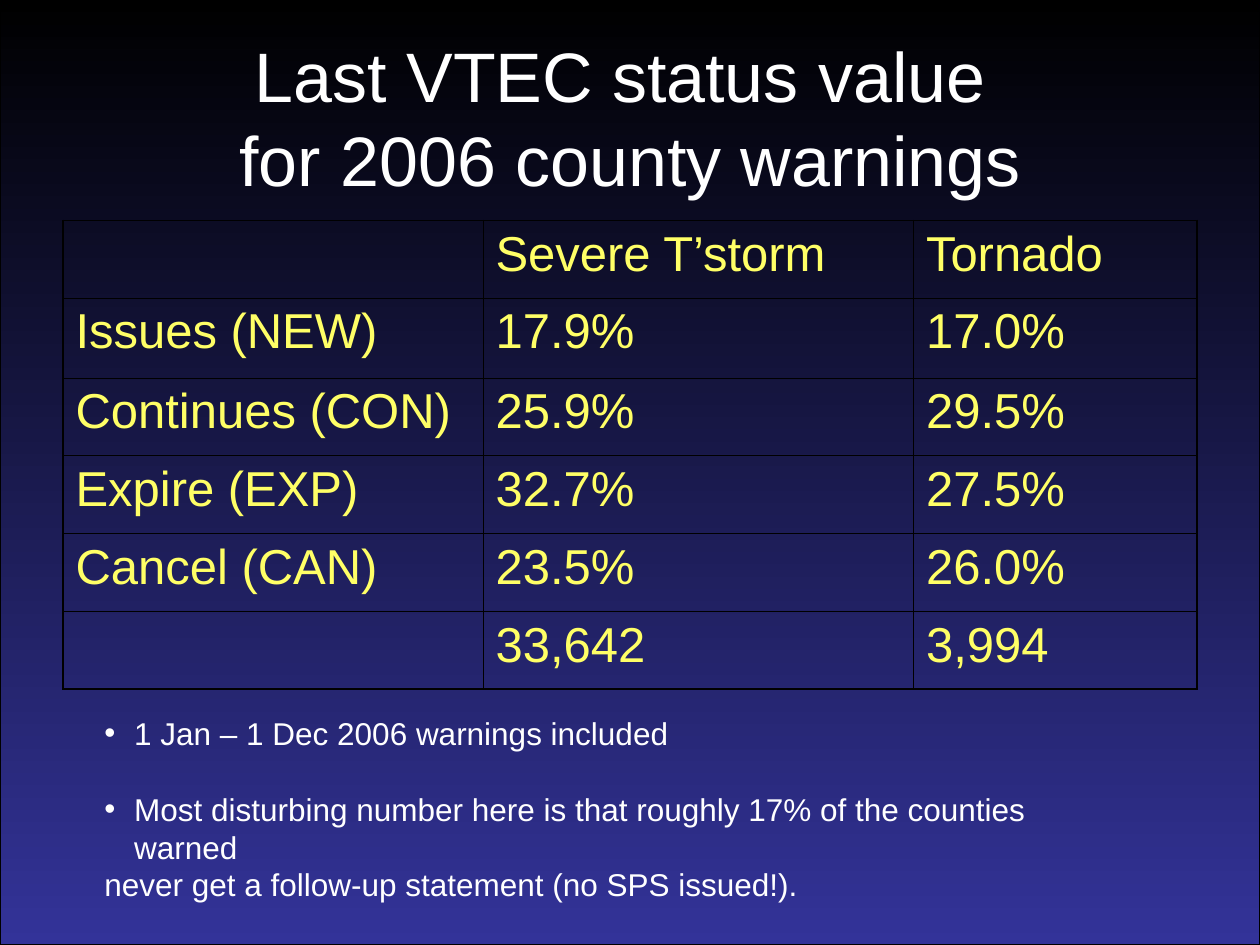
from pptx import Presentation
from pptx import util as u
from pptx.dml.color import RGBColor
from pptx.enum import shapes, text
from pptx.oxml import parse_xml
from pptx.oxml.ns import nsdecls

Pt = u.Pt
FONT = "Arial"
WHITE, YELLOW, BLACK, BLUE = "FFFFFF", "FFFF66", "000000", "333399"
THIN, THICK = 0.45, 1.08

TITLE_LINES = ["Last VTEC status value ", "for 2006 county warnings"]
ROWS = [
    ["", "Severe T’storm", "Tornado"],
    ["Issues (NEW)", "17.9%", "17.0%"],
    ["Continues (CON)", "25.9%", "29.5%"],
    ["Expire (EXP)", "32.7%", "27.5%"],
    ["Cancel (CAN)", "23.5%", "26.0%"],
    ["", "33,642", "3,994"],
]
COL_WIDTHS = [240, 246, 162]
ROW_HEIGHTS = [44.5, 45.5, 44.5, 44.5, 44.5, 44.5]
# text, bulleted, space before
NOTES = [
    ("1 Jan – 1 Dec 2006 warnings included", True, 0),
    ("Most disturbing number here is that roughly 17% of the counties warned",
     True, 21.6),
    ("never get a follow-up statement (no SPS issued!).", False, 0),
]


def rgb(color):
    return RGBColor.from_string(color)


def place(sp, left, top, width, height):
    sp.left, sp.top, sp.width, sp.height = map(Pt, (left, top, width, height))


def add_run(p, words, size, color):
    r = p.add_run()
    r.text = words
    r.font.name, r.font.size = FONT, Pt(size)
    r.font.color.rgb = rgb(color)


def add_backdrop(s, prs):
    sp = s.shapes.add_shape(shapes.MSO_SHAPE.RECTANGLE, 0, 0,
                            prs.slide_width, prs.slide_height)
    sp.shadow.inherit = False
    sp.fill.gradient()
    sp.fill.gradient_angle = 270
    for stop, color in zip(sp.fill.gradient_stops, (BLACK, BLUE)):
        stop.color.rgb = rgb(color)
    sp.line.color.rgb, sp.line.width = rgb(BLACK), Pt(0.75)
    # Send behind the placeholders
    s.shapes._spTree.insert(2, sp._element)


def add_title(s):
    sp = s.shapes.title
    place(sp, 36, 21.6, 648, 90)
    tf = sp.text_frame
    tf.auto_size = text.MSO_AUTO_SIZE.NONE
    tf.vertical_anchor = text.MSO_ANCHOR.MIDDLE
    p = tf.paragraphs[0]
    p.alignment = text.PP_ALIGN.CENTER
    for i, line in enumerate(TITLE_LINES):
        if i:
            p.add_line_break()
        add_run(p, line, 40, WHITE)


def set_borders(cell, widths):
    tcPr = cell._tc.get_or_add_tcPr()
    for i, (side, width) in enumerate(zip("LRTB", widths)):
        tcPr.insert(i, parse_xml(
            f'<a:ln{side} {nsdecls("a")} w="{Pt(width)}"><a:solidFill>'
            f'<a:srgbClr val="{BLACK}"/></a:solidFill></a:ln{side}>'))


def add_status_table(s):
    last_row, last_col = len(ROWS) - 1, len(COL_WIDTHS) - 1
    table = s.shapes.add_table(
        len(ROWS), len(COL_WIDTHS), Pt(36), Pt(126),
        Pt(sum(COL_WIDTHS)), Pt(sum(ROW_HEIGHTS))).table
    table.first_row = table.horz_banding = False
    for col, width in zip(table.columns, COL_WIDTHS):
        col.width = Pt(width)
    for row, height in zip(table.rows, ROW_HEIGHTS):
        row.height = Pt(height)
    for i, row in enumerate(ROWS):
        for j, words in enumerate(row):
            cell = table.cell(i, j)
            cell.fill.background()
            # Thick lines on the outer frame only
            outer = (j == 0, j == last_col, i == 0, i == last_row)
            set_borders(cell, [THICK if edge else THIN for edge in outer])
            if words:
                p = cell.text_frame.paragraphs[0]
                p.space_before = Pt(7)
                add_run(p, words, 28, YELLOW)


def set_bullet(p, bulleted):
    pPr = p._p.get_or_add_pPr()
    hang = Pt(17) if bulleted else 0
    pPr.set("marL", str(hang))
    pPr.set("indent", str(-hang))
    if bulleted:
        pPr.append(parse_xml(f'<a:buClr {nsdecls("a")}>'
                             f'<a:srgbClr val="{WHITE}"/></a:buClr>'))
        pPr.append(parse_xml(f'<a:buChar {nsdecls("a")} char="•"/>'))
    else:
        pPr.append(parse_xml(f'<a:buNone {nsdecls("a")}/>'))


def add_notes_list(s):
    sp = s.placeholders[1]
    place(sp, 52.5, 404.5, 594, 94)
    tf = sp.text_frame
    tf.word_wrap = True
    tf.auto_size = text.MSO_AUTO_SIZE.NONE
    tf.vertical_anchor = text.MSO_ANCHOR.TOP
    for i, (words, bulleted, before) in enumerate(NOTES):
        p = tf.add_paragraph() if i else tf.paragraphs[0]
        set_bullet(p, bulleted)
        p.space_before = Pt(before)
        add_run(p, words, 18, WHITE)


def main():
    prs = Presentation()
    prs.slide_width, prs.slide_height = Pt(720), Pt(540)
    s = prs.slides.add_slide(prs.slide_layouts[1])
    add_backdrop(s, prs)
    add_title(s)
    add_status_table(s)
    add_notes_list(s)
    prs.save("out.pptx")


if __name__ == "__main__":
    main()
